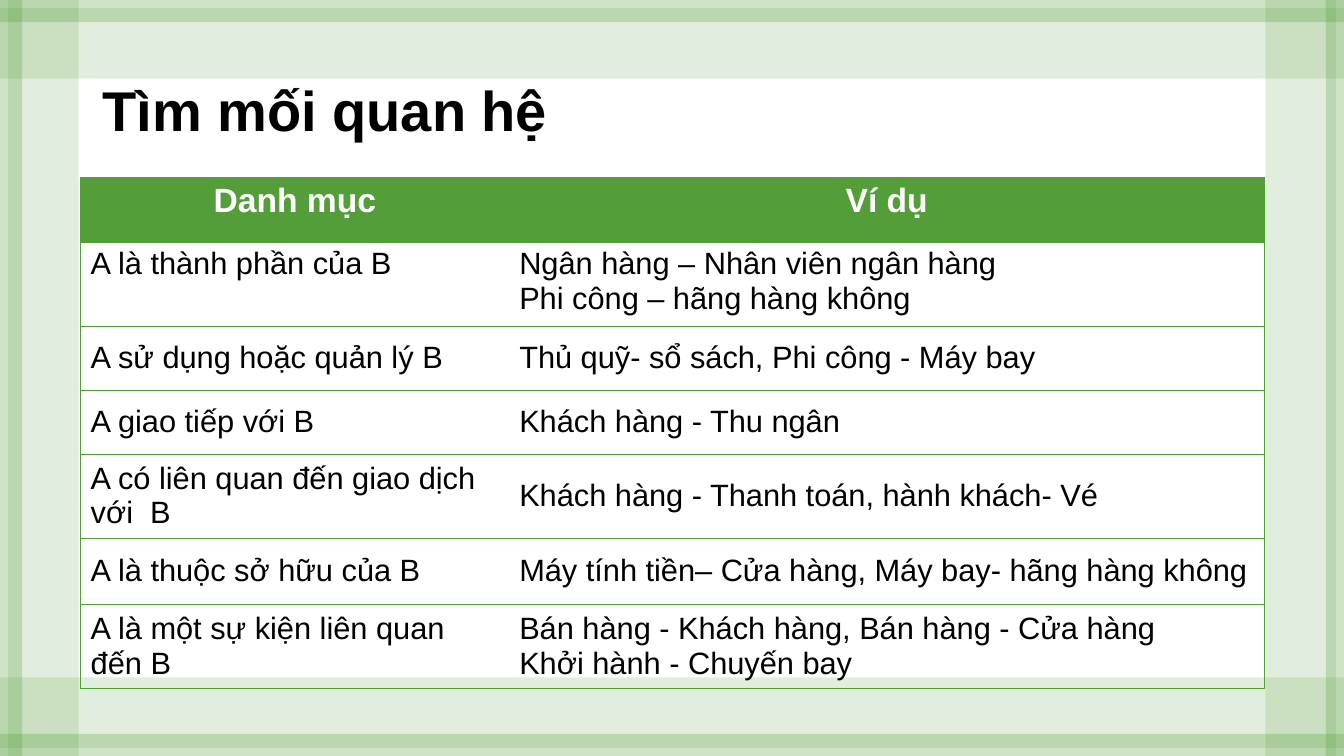
from dataclasses import dataclass

from lxml import etree
from pptx import Presentation
from pptx import util as u
from pptx.dml.color import RGBColor
from pptx.enum import shapes, text
from pptx.oxml.ns import qn


@dataclass(frozen=True)
class Theme:
    font: str = "Arial"
    green: str = "549E39"
    black: str = "000000"
    white: str = "FFFFFF"
    title_size: int = 40
    header_size: int = 24
    body_size: int = 22
    border: float = 0.5
    wide_opacity: int = 17
    narrow_opacity: int = 28


HEADINGS = ["Danh mục", "Ví dụ"]
RELATIONS = [
    ("A là thành phần của B",
     "Ngân hàng – Nhân viên ngân hàng\nPhi công – hãng hàng không"),
    ("A sử dụng hoặc quản lý B", "Thủ quỹ- sổ sách, Phi công - Máy bay"),
    ("A giao tiếp với B", "Khách hàng - Thu ngân"),
    ("A có liên quan đến giao dịch với  B",
     "Khách hàng - Thanh toán, hành khách- Vé"),
    ("A là thuộc sở hữu của B",
     "Máy tính tiền– Cửa hàng, Máy bay- hãng hàng không"),
    ("A là một sự kiện liên quan đến B",
     "Bán hàng - Khách hàng, Bán hàng - Cửa hàng\nKhởi hành - Chuyến bay"),
]
COLUMN_WIDTHS = [4.25, 7.49]
ROW_HEIGHTS = [0.64, 0.64, 0.64, 0.63, 0.69, 0.66, 0.66]
WIDTH, HEIGHT = 13.33, 7.5


class SlideBuilder:
    def __init__(self, slide, theme):
        self.slide = slide
        self.theme = theme

    def style(self, paragraph, size, color, bold=False):
        font = paragraph.font
        font.name, font.size, font.bold = self.theme.font, u.Pt(size), bold
        font.color.rgb = RGBColor.from_string(color)

    def band(self, left, top, width, height, opacity):
        """Add a translucent green strip; opacity is in percent."""
        strip = self.slide.shapes.add_shape(
            shapes.MSO_SHAPE.RECTANGLE,
            *map(u.Inches, (left, top, width, height)))
        strip.shadow.inherit = False
        strip.line.fill.background()
        strip.fill.solid()
        strip.fill.fore_color.rgb = RGBColor.from_string(self.theme.green)
        color = strip.fill._xPr.find(".//" + qn("a:srgbClr"))
        etree.SubElement(color, qn("a:alpha"), val=str(opacity * 1000))

    def frame(self):
        """Lay a wide and a narrow strip along each edge."""
        wide, narrow = self.theme.wide_opacity, self.theme.narrow_opacity
        for top, height, opacity in [(0.08, 0.7, wide), (0, 0.22, narrow),
                                     (6.72, 0.7, wide), (7.28, 0.22, narrow)]:
            self.band(0, top, WIDTH, height, opacity)
        for left, width, opacity in [(0.08, 0.7, wide), (0, 0.22, narrow),
                                     (12.55, 0.7, wide), (13.15, 0.22, narrow)]:
            self.band(left, 0, width, HEIGHT, opacity)

    def title(self, wording):
        box = self.slide.shapes.add_textbox(
            *map(u.Inches, (0.92, 0.4, 11.5, 1.45))).text_frame
        box.word_wrap = True
        box.vertical_anchor = text.MSO_ANCHOR.MIDDLE
        box.text = wording
        heading = box.paragraphs[0]
        heading.line_spacing = 0.9
        self.style(heading, self.theme.title_size, self.theme.black, True)

    def borders(self, cell, sides):
        """Draw the given sides (letters of LRTB) and clear the others."""
        properties = cell._tc.get_or_add_tcPr()
        for side in "LRTB":
            line = etree.SubElement(properties, qn("a:ln" + side),
                                    w=str(u.Pt(self.theme.border)))
            if side in sides:
                fill = etree.SubElement(line, qn("a:solidFill"))
                etree.SubElement(fill, qn("a:srgbClr"), val=self.theme.green)
            else:
                etree.SubElement(line, qn("a:noFill"))

    def cell(self, cell, wording, is_header, anchor):
        cell.text = wording
        cell.vertical_anchor = anchor
        if is_header:
            cell.fill.solid()
            cell.fill.fore_color.rgb = RGBColor.from_string(self.theme.green)
        else:
            cell.fill.background()
        for paragraph in cell.text_frame.paragraphs:
            if is_header:
                paragraph.alignment = text.PP_ALIGN.CENTER
                self.style(paragraph, self.theme.header_size,
                           self.theme.white, True)
            else:
                self.style(paragraph, self.theme.body_size, self.theme.black)

    def table(self, rows):
        table = self.slide.shapes.add_table(
            len(rows), len(COLUMN_WIDTHS), u.Inches(0.8), u.Inches(1.76),
            u.Inches(sum(COLUMN_WIDTHS)), u.Inches(sum(ROW_HEIGHTS))).table
        table.horz_banding = False
        for column, width in zip(table.columns, COLUMN_WIDTHS):
            column.width = u.Inches(width)
        for row, height in zip(table.rows, ROW_HEIGHTS):
            row.height = u.Inches(height)
        for r, wordings in enumerate(rows):
            anchor = text.MSO_ANCHOR.TOP if r < 2 else text.MSO_ANCHOR.MIDDLE
            for c, wording in enumerate(wordings):
                cell = table.cell(r, c)
                self.borders(cell, "LTB" if c == 0 else "RTB")
                self.cell(cell, wording, r == 0, anchor)


def main():
    deck = Presentation()
    deck.slide_width, deck.slide_height = u.Inches(WIDTH), u.Inches(HEIGHT)
    builder = SlideBuilder(deck.slides.add_slide(deck.slide_layouts[6]), Theme())
    builder.frame()
    builder.title("Tìm mối quan hệ")
    builder.table([HEADINGS, *RELATIONS])
    deck.save("out.pptx")


if __name__ == "__main__":
    main()
